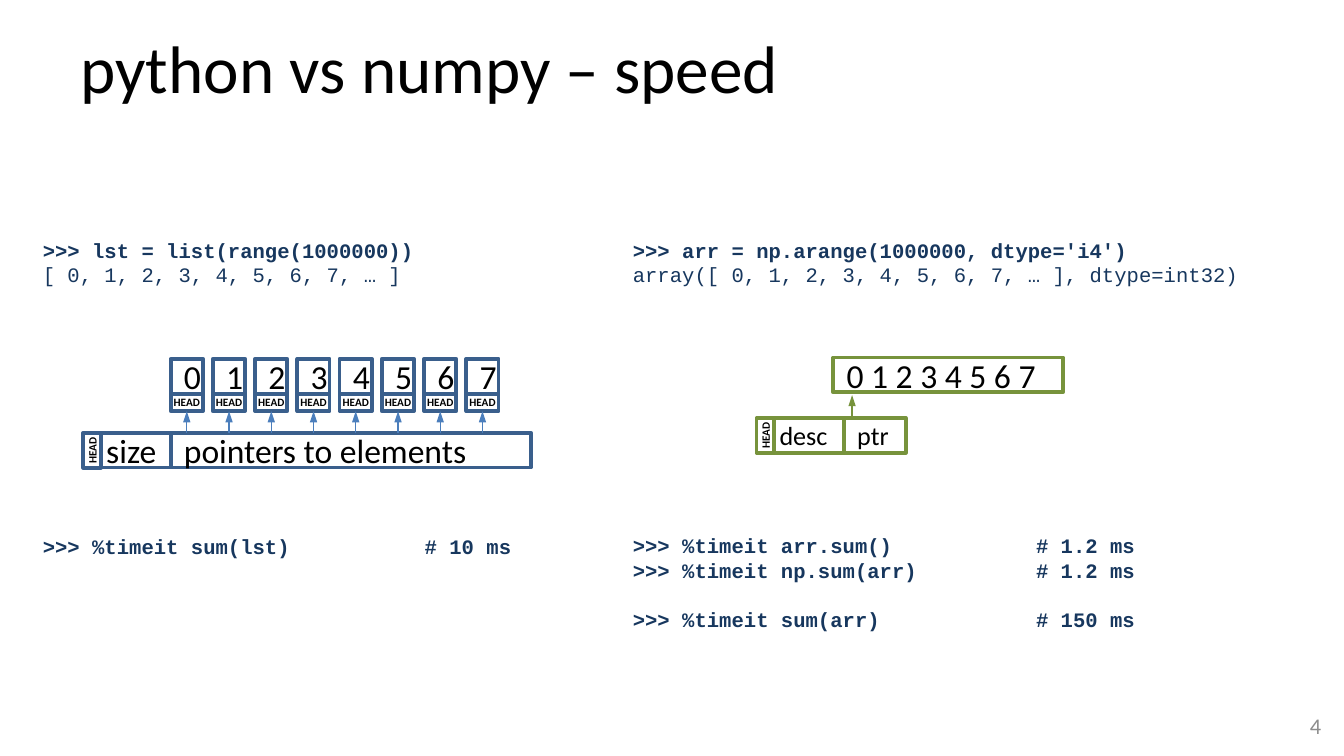
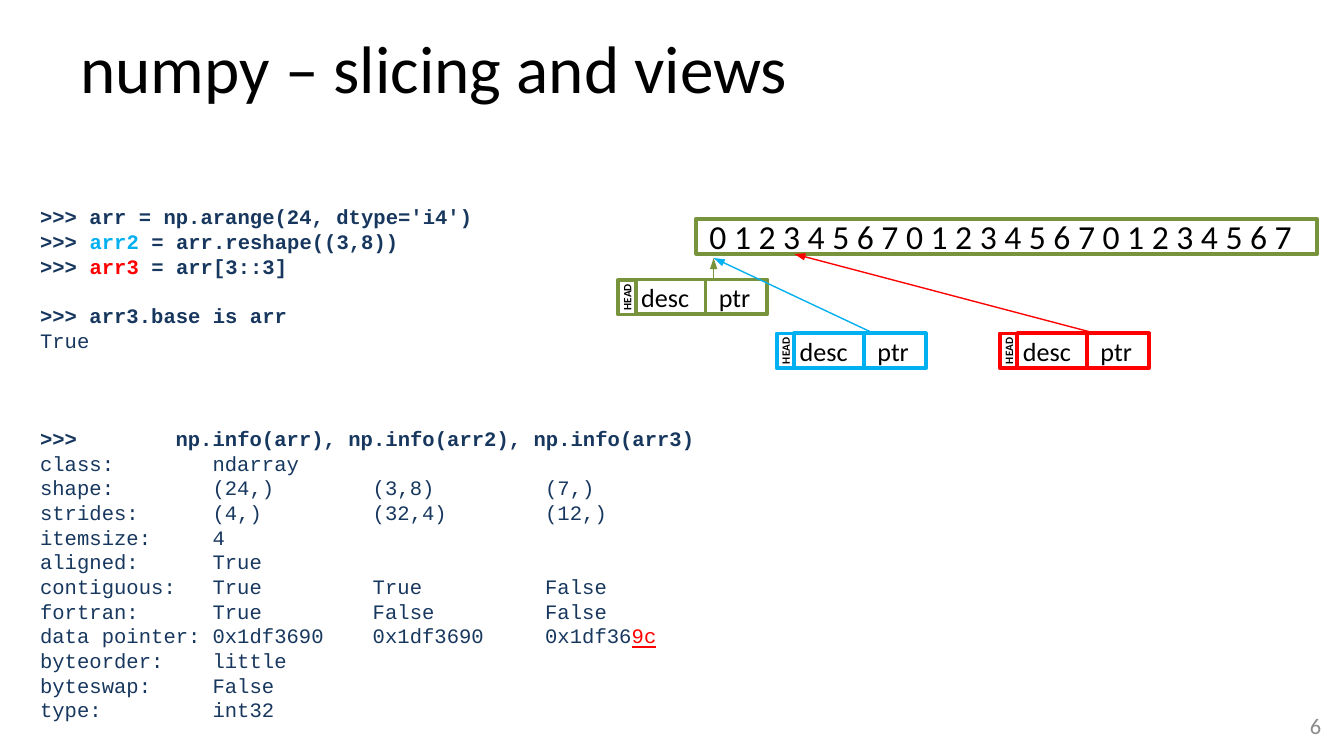
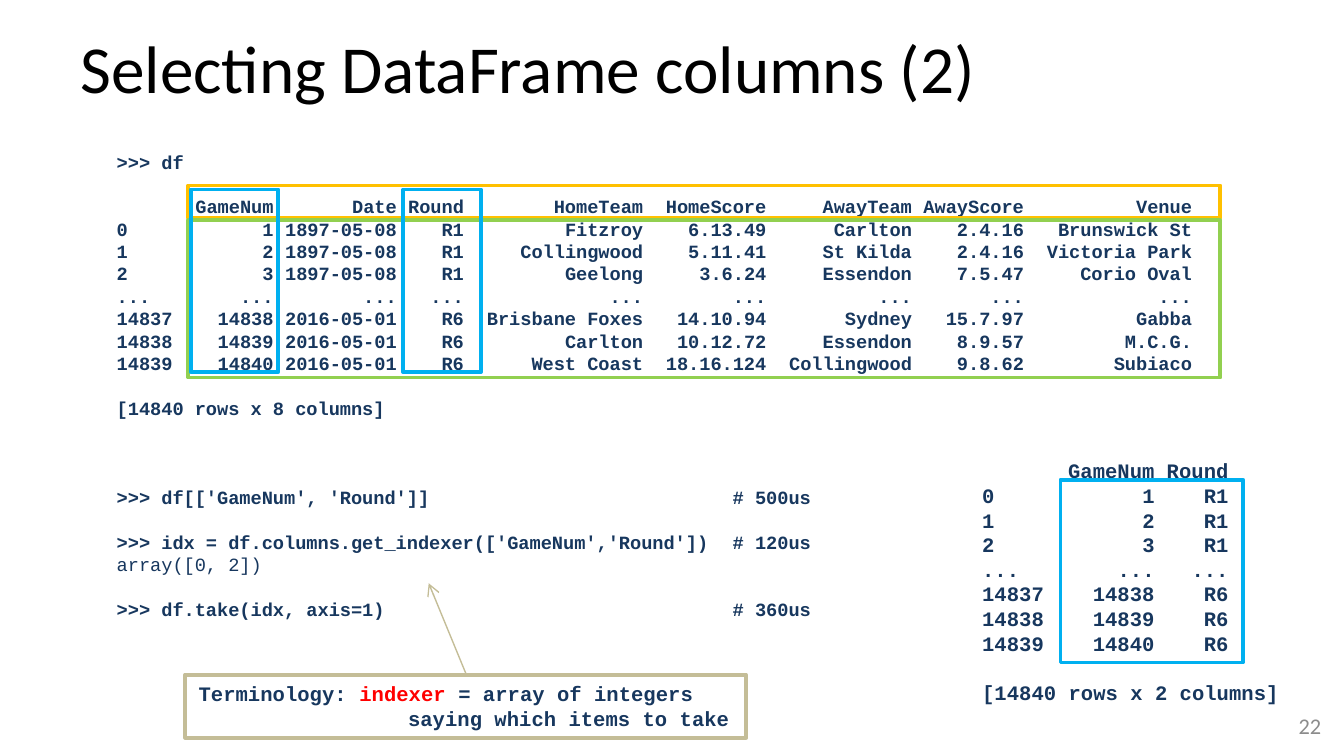
from dataclasses import dataclass

from lxml import etree
from pptx import Presentation
from pptx.dml.color import RGBColor
from pptx.enum.shapes import MSO_CONNECTOR, MSO_SHAPE
from pptx.enum.text import MSO_ANCHOR, PP_ALIGN
from pptx.oxml.ns import qn
from pptx.util import Inches, Pt

RECTANGLE = MSO_SHAPE.RECTANGLE
STRAIGHT = MSO_CONNECTOR.STRAIGHT
LEFT, CENTER, RIGHT = PP_ALIGN.LEFT, PP_ALIGN.CENTER, PP_ALIGN.RIGHT
TOP, MIDDLE = MSO_ANCHOR.TOP, MSO_ANCHOR.MIDDLE
BLANK_LAYOUT = 6


@dataclass(frozen=True)
class Theme:
    body_font: str = "Calibri"
    code_font: str = "Courier New"
    black: str = "000000"
    white: str = "FFFFFF"
    code: str = "17375E"
    grey: str = "8C8C8C"
    blue: str = "3A5F8C"
    arrow_blue: str = "4B7EBC"
    olive: str = "77933C"
    cyan: str = "00B0F0"
    red: str = "FF0000"
    amber: str = "FFC000"
    green: str = "92D050"
    tan: str = "C4BD97"
    title_size: int = 36
    cell_size: int = 18
    field_size: int = 14
    page_size: int = 12
    code_size: int = 11
    small_code_size: int = 10
    head_size: int = 6
    line_pitch: float = 1.2   # line height over type size
    char_width: float = 0.6   # monospaced advance over type size


THEME = Theme()
NO_INSETS = (0, 0)
TIGHT_INSETS = (0.04, 0.05)
ROW = 0.26    # height of a memory cell
HEAD = 0.13   # thickness of an object header


@dataclass(frozen=True)
class Span:
    text: str
    color: str = THEME.code
    underline: bool = False


LINE_BREAK = Span("\n")


@dataclass(frozen=True)
class Line:
    """A console line; gap counts the empty lines above, tabs are character columns."""
    content: str | tuple
    bold: bool = True
    gap: int = 0
    tabs: tuple = ()
    tab_side: str = "l"


def rgb(color):
    return RGBColor.from_string(color)


class Deck:
    def __init__(self, theme):
        self.theme = theme
        self.presentation = Presentation()
        self.presentation.slide_width = Inches(10)
        self.presentation.slide_height = Inches(10) * 9 // 16
        self.slide = None

    def new_slide(self, title, number):
        t = self.theme
        layout = self.presentation.slide_layouts[BLANK_LAYOUT]
        self.slide = self.presentation.slides.add_slide(layout)
        self.label(0.5, 0.15, 9, 0.65, title, t.title_size, t.black)
        self.label(7.6, 5.25, 2.33, 0.3, str(number), t.page_size, t.grey, RIGHT, MIDDLE)

    def style(self, paragraph, size, color, font, bold=False):
        paragraph.font.name = font
        paragraph.font.size = Pt(size)
        paragraph.font.bold = bold
        paragraph.font.color.rgb = rgb(color)

    def text_box(self, left, top, width, height):
        box = self.slide.shapes.add_textbox(
            Inches(left), Inches(top), Inches(width), Inches(height))
        box.text_frame.word_wrap = True
        return box.text_frame

    def label(self, left, top, width, height, text, size, color, align=LEFT, anchor=TOP):
        frame = self.text_box(left, top, width, height)
        frame.vertical_anchor = anchor
        paragraph = frame.paragraphs[0]
        paragraph.text = text
        paragraph.alignment = align
        self.style(paragraph, size, color, self.theme.body_font)

    def outline(self, left, top, width, height, color, weight=2):
        frame = self.slide.shapes.add_shape(
            RECTANGLE, Inches(left), Inches(top), Inches(width), Inches(height))
        frame.shadow.inherit = False
        frame.fill.background()
        frame.line.color.rgb = rgb(color)
        frame.line.width = Pt(weight)
        return frame

    def cell(self, left, top, width, height, text, color, size,
             align=LEFT, insets=None, bold=False):
        cell = self.outline(left, top, width, height, color)
        cell.fill.solid()
        cell.fill.fore_color.rgb = rgb(self.theme.white)
        frame = cell.text_frame
        frame.word_wrap = True
        frame.vertical_anchor = MIDDLE
        if insets is not None:
            frame.margin_left = frame.margin_right = Inches(insets[0])
            frame.margin_top = frame.margin_bottom = Inches(insets[1])
        paragraph = frame.paragraphs[0]
        paragraph.text = text
        paragraph.alignment = align
        self.style(paragraph, size, self.theme.black, self.theme.body_font, bold)
        return cell

    def head(self, left, top, width, color):
        return self.cell(left, top, width, HEAD, "HEAD", color, self.theme.head_size,
                         CENTER, NO_INSETS, bold=True)

    def object_start(self, left, top, field, color, size):
        """An upright header with the first field of the object to its right."""
        self.head(left - (ROW + HEAD) / 2, top + (ROW - HEAD) / 2, ROW, color).rotation = 270
        self.cell(left, top, 0.52, ROW, field, color, size, insets=TIGHT_INSETS)

    def array_object(self, left, top, color):
        size = self.theme.field_size
        self.object_start(left, top, "desc", color, size)
        self.cell(left + 0.52, top, 0.46, ROW, "ptr", color, size)

    def arrow(self, start, end, color, tip="triangle", tip_width="sm"):
        arrow = self.slide.shapes.add_connector(
            STRAIGHT, *(Inches(value) for value in (*start, *end)))
        arrow.line.color.rgb = rgb(color)
        arrow.line.width = Pt(0.75)
        properties = arrow.element.spPr
        etree.SubElement(properties.find(qn("a:ln")), qn("a:tailEnd"), type=tip, w=tip_width)
        etree.SubElement(properties, qn("a:effectLst"))

    def write_lines(self, frame, lines, size):
        t = self.theme
        for index, line in enumerate(lines):
            paragraph = frame.add_paragraph() if index else frame.paragraphs[0]
            paragraph.alignment = LEFT
            paragraph.line_spacing = Pt(size * t.line_pitch)
            paragraph.space_before = Pt(line.gap * size * t.line_pitch)
            self.style(paragraph, size, t.code, t.code_font, line.bold)
            if isinstance(line.content, str):
                paragraph.text = line.content
            else:
                self.add_spans(paragraph, line.content)
            if line.tabs:
                self.set_tabs(paragraph, line, size)

    def add_spans(self, paragraph, spans):
        for span in spans:
            if span == LINE_BREAK:
                paragraph.add_line_break()
                continue
            run = paragraph.add_run()
            run.text = span.text
            if span.color != self.theme.code:
                run.font.color.rgb = rgb(span.color)
            if span.underline:
                run.font.underline = True

    def set_tabs(self, paragraph, line, size):
        stops = etree.Element(qn("a:tabLst"))
        for column in line.tabs:
            position = Pt(column * size * self.theme.char_width)
            etree.SubElement(stops, qn("a:tab"), pos=str(int(position)), algn=line.tab_side)
        properties = paragraph._p.get_or_add_pPr()
        properties.find(qn("a:defRPr")).addprevious(stops)

    def console(self, left, top, width, height, lines, size=THEME.code_size):
        self.write_lines(self.text_box(left, top, width, height), lines, size)

    def callout(self, left, top, width, height, lines, color):
        frame = self.outline(left, top, width, height, color, 2.25).text_frame
        frame.word_wrap = True
        frame.vertical_anchor = TOP
        self.write_lines(frame, lines, self.theme.code_size)


def listing(rows, columns):
    """Console rows whose fields end at the given character columns."""
    return [Line("\t".join(row), tabs=columns, tab_side="r") for row in rows]


def speed_slide(deck):
    t = deck.theme
    deck.new_slide("python vs numpy – speed", 4)

    deck.cell(6.2, 2.66, 1.71, ROW, "0 1 2 3 4 5 6 7", t.olive, t.cell_size)
    deck.array_object(5.76, 3.11, t.olive)
    deck.arrow((6.34, 3.11), (6.34, 2.94), t.olive)

    deck.object_start(0.75, 3.22, "size", t.blue, t.cell_size)
    deck.cell(1.27, 3.22, 2.68, ROW, "pointers to elements", t.blue, t.cell_size)
    element_width, element_step = 0.24, 2.2 / 7
    for number in range(8):
        left = 1.27 + number * element_step
        center = left + element_width / 2
        deck.cell(left, 2.67, element_width, ROW, str(number), t.blue, t.cell_size, CENTER)
        deck.head(left, 2.67 + ROW, element_width, t.blue)
        deck.arrow((center, 3.22), (center, 3.06), t.arrow_blue)

    deck.console(0.22, 1.72, 4.23, 2.51, [
        Line(">>> lst = list(range(1000000))"),
        Line("[ 0, 1, 2, 3, 4, 5, 6, 7, … ]", bold=False),
        Line(">>> %timeit sum(lst)\t# 10 ms", gap=10, tabs=(31,)),
    ])
    timing = (32.73,)
    deck.console(4.61, 1.72, 5.12, 3.06, [
        Line(">>> arr = np.arange(1000000, dtype='i4')"),
        Line("array([ 0, 1, 2, 3, 4, 5, 6, 7, … ], dtype=int32)", bold=False),
        Line(">>> %timeit arr.sum()\t# 1.2 ms", gap=10, tabs=timing),
        Line(">>> %timeit np.sum(arr)\t# 1.2 ms", tabs=timing),
        Line(">>> %timeit sum(arr)\t# 150 ms", gap=1, tabs=timing),
    ])


def views_slide(deck):
    t = deck.theme
    deck.new_slide("numpy – slicing and views", 6)

    buffer = " ".join(["0 1 2 3 4 5 6 7"] * 3)
    deck.cell(5.18, 1.63, 4.62, ROW, buffer, t.olive, t.cell_size)
    views = [
        (4.73, 2.08, t.olive, 5.31, (5.31, 1.92)),
        (5.91, 2.48, t.cyan, 6.5, (5.31, 1.92)),
        (7.57, 2.48, t.red, 8.15, (5.91, 1.89)),
    ]
    for left, top, color, pointer_x, target in views:
        deck.array_object(left, top, color)
        deck.arrow((pointer_x, top), target, color)

    info = [
        ("class:", "ndarray"),
        ("shape:", "(24,)", "(3,8)", "(7,)"),
        ("strides:", "(4,)", "(32,4)", "(12,)"),
        ("itemsize:", "4"),
        ("aligned:", "True"),
        ("contiguous:", "True", "True", "False"),
        ("fortran:", "True", "False", "False"),
        ("data pointer:", "0x1df3690", "0x1df3690", "0x1df36"),
        ("byteorder:", "little"),
        ("byteswap:", "False"),
        ("type:", "int32"),
    ]
    info_lines = []
    for row in info:
        content = "\t".join(row)
        if row[0] == "data pointer:":
            content = (Span(content), Span("9c", t.red, underline=True))
        info_lines.append(Line(content, bold=False, tabs=(14, 27, 41)))

    deck.console(0.2, 1.47, 6.14, 3.99, [
        Line(">>> arr = np.arange(24, dtype='i4')"),
        Line((Span(">>> "), Span("arr2", t.cyan), Span(" = arr.reshape((3,8))"))),
        Line((Span(">>> "), Span("arr3", t.red), Span(" = arr[3::3]"))),
        Line(">>> arr3.base is arr", gap=1),
        Line("True", bold=False),
        Line(">>>\tnp.info(arr), np.info(arr2), np.info(arr3)", gap=3, tabs=(11,)),
        *info_lines,
    ])


def columns_slide(deck):
    t = deck.theme
    deck.new_slide("Selecting DataFrame columns (2)", 22)

    header = ("", "GameNum", "Date", "Round", "HomeTeam", "HomeScore",
              "AwayTeam", "AwayScore", "Venue")
    games = [
        ("0", "1", "1897-05-08", "R1", "Fitzroy", "6.13.49",
         "Carlton", "2.4.16", "Brunswick St"),
        ("1", "2", "1897-05-08", "R1", "Collingwood", "5.11.41",
         "St Kilda", "2.4.16", "Victoria Park"),
        ("2", "3", "1897-05-08", "R1", "Geelong", "3.6.24",
         "Essendon", "7.5.47", "Corio Oval"),
        ("...",) * 9,
        ("14837", "14838", "2016-05-01", "R6", "Brisbane Foxes", "14.10.94",
         "Sydney", "15.7.97", "Gabba"),
        ("14838", "14839", "2016-05-01", "R6", "Carlton", "10.12.72",
         "Essendon", "8.9.57", "M.C.G."),
        ("14839", "14840", "2016-05-01", "R6", "West Coast", "18.16.124",
         "Collingwood", "9.8.62", "Subiaco"),
    ]
    ends = (14, 25, 31, 47, 58, 71, 81, 96)
    timing = (55,)
    deck.console(0.77, 1.07, 8.25, 3.64, [
        Line(">>> df"),
        Line("\t".join(header), gap=1, tabs=ends, tab_side="r"),
        *listing(games, ends),
        Line("[14840 rows x 8 columns]", gap=1),
        Line(">>> df[['GameNum', 'Round']]\t# 500us", gap=3, tabs=timing),
        Line(">>> idx = df.columns.get_indexer(['GameNum','Round'])\t# 120us",
             gap=1, tabs=timing),
        Line("array([0, 2])", bold=False),
        Line(">>> df.take(idx, axis=1)\t# 360us", gap=1, tabs=timing),
    ], t.small_code_size)

    deck.outline(1.4, 1.38, 7.68, 0.24, t.amber)
    deck.outline(1.4, 1.64, 7.68, 1.17, t.green)
    deck.outline(1.42, 1.41, 0.65, 1.36, t.cyan)
    deck.outline(3, 1.41, 0.58, 1.36, t.cyan)

    selection = [(row[0], row[1], row[3]) for row in [header, *games]]
    deck.console(7.21, 3.36, 2.43, 1.95, [
        *listing(selection, (14, 20)),
        Line("[14840 rows x 2 columns]", gap=1),
    ])
    deck.outline(7.89, 3.57, 1.36, 1.36, t.cyan)

    terminology = (Span("Terminology: "), Span("indexer", t.red),
                   Span(" = array of integers"), LINE_BREAK,
                   Span("\tsaying which items to take"))
    deck.callout(1.38, 5.02, 4.17, 0.47, [Line(terminology, tabs=(17,))], t.tan)
    deck.arrow((3.47, 5.02), (3.19, 4.34), t.tan, "arrow", "med")


def main():
    deck = Deck(THEME)
    speed_slide(deck)
    views_slide(deck)
    columns_slide(deck)
    deck.presentation.save("out.pptx")


if __name__ == "__main__":
    main()
